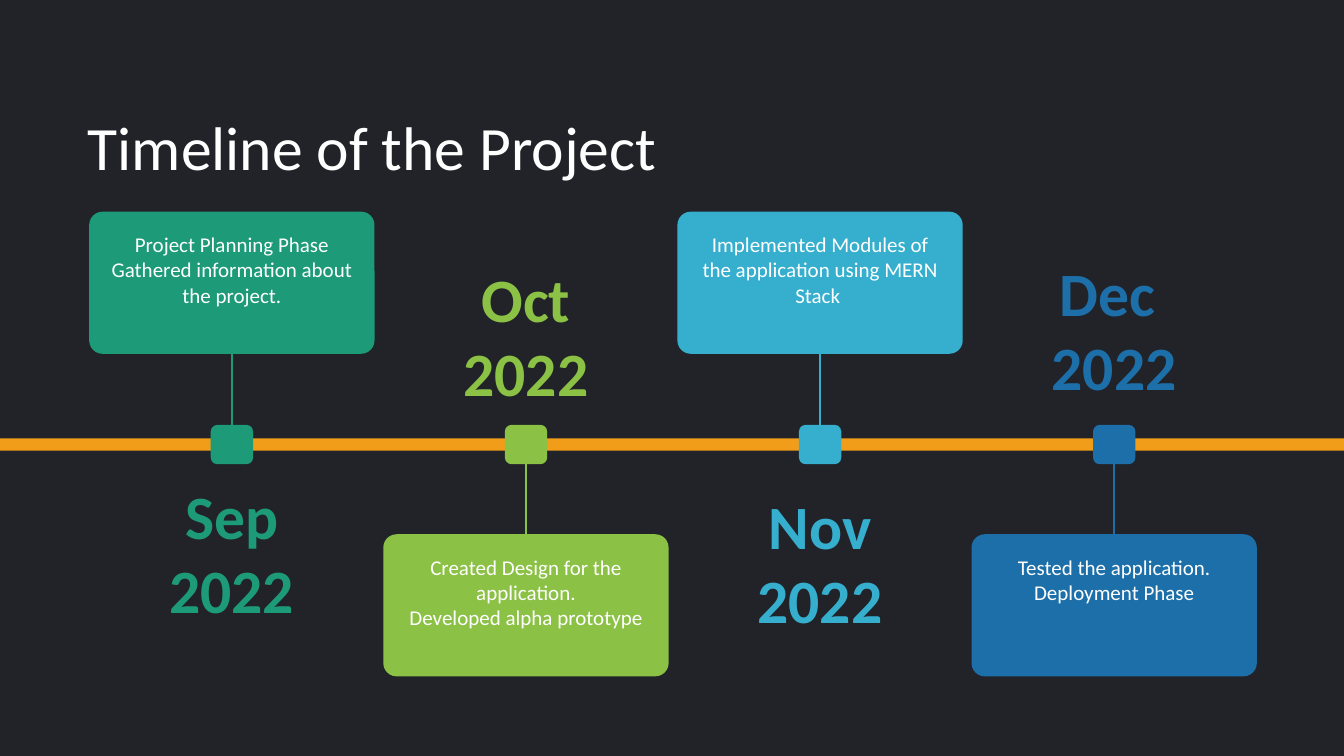
from collections import namedtuple

from lxml import etree
from pptx import Presentation, util as u
from pptx.dml.color import RGBColor
from pptx.enum import shapes, text
from pptx.oxml import ns

# Colours
BACKGROUND = RGBColor(0x21, 0x23, 0x28)
WHITE = RGBColor(0xFF, 0xFF, 0xFF)
ORANGE = RGBColor(0xF1, 0x9D, 0x19)
GREEN = RGBColor(0x1D, 0x9A, 0x78)
LIME = RGBColor(0x8B, 0xC1, 0x45)
CYAN = RGBColor(0x36, 0xAF, 0xCE)
BLUE = RGBColor(0x1D, 0x6F, 0xA9)
FONT = "Calibri"

# Grid, in inches
SLIDE_W, SLIDE_H = 13.33, 7.5
FIRST_CENTRE = 2.3
COLUMN = 2.917
AXIS_Y = 4.41
BAR_H = 0.12
MARKER_W, MARKER_H = 0.42, 0.39
CARD_W, CARD_H = 2.83, 1.41
CARD_TOP_ABOVE, CARD_TOP_BELOW = 2.1, 5.3
NOTE_W, NOTE_DROP = 2.66, 0.15
NOTE_LINE, NOTE_MARGINS = 0.25, 0.11
DATE_W = 2.18

Phase = namedtuple("Phase", "colour date date_top date_h note note_lines")
PHASES = [
    Phase(GREEN, "Sep 2022", 4.77, 1.41,
          "Project Planning Phase\nGathered information about the project.", 4),
    Phase(LIME, "Oct\n2022", 2.68, 1.29,
          "Created Design for the application.\nDeveloped alpha prototype", 3),
    Phase(CYAN, "Nov\n2022", 4.95, 1.24,
          "Implemented Modules of the application using MERN Stack ", 3),
    Phase(BLUE, "Dec \n2022", 2.68, 1.16,
          "Tested the application.\nDeployment Phase", 2),
]


def box(left, top, width, height):
    return [u.Inches(value) for value in (left, top, width, height)]


def centred(centre, top, width, height):
    return box(centre - width / 2, top, width, height)


def format_text(frame, size, colour, align, bold=False):
    for paragraph in frame.paragraphs:
        paragraph.alignment = align
        for run in paragraph.runs:
            run.font.name = FONT
            run.font.size = u.Pt(size)
            run.font.bold = bold
            run.font.color.rgb = colour


def add_title(slide, wording):
    title = slide.shapes.title
    title.left, title.top, title.width, title.height = box(0.77, 0.77, 11.5, 1.45)
    frame = title.text_frame
    frame.text = wording
    frame.vertical_anchor = text.MSO_ANCHOR.MIDDLE
    frame.paragraphs[0].line_spacing = 0.9
    format_text(frame, 44, WHITE, text.PP_ALIGN.LEFT)


def add_block(slide, kind, place, colour):
    block = slide.shapes.add_shape(kind, *place)
    block.shadow.inherit = False
    block.fill.solid()
    block.fill.fore_color.rgb = colour
    block.line.fill.background()
    return block


def add_label(slide, place, wording, size, colour, bold=False):
    frame = slide.shapes.add_textbox(*place).text_frame
    frame.word_wrap = True
    frame.text = wording
    format_text(frame, size, colour, text.PP_ALIGN.CENTER, bold)
    return frame


def add_stem(slide, upper, lower, colour):
    stem = slide.shapes.add_connector(shapes.MSO_CONNECTOR.STRAIGHT, 0, 0, 0, 0)
    stem.begin_connect(upper, 2)
    stem.end_connect(lower, 0)
    stem.line.color.rgb = colour
    stem.line.width = u.Pt(1.5)
    etree.SubElement(stem._element.spPr, ns.qn("a:effectLst"))


def add_phase(slide, index, phase):
    centre = FIRST_CENTRE + index * COLUMN
    above = index % 2 == 0
    card_top = CARD_TOP_ABOVE if above else CARD_TOP_BELOW
    rounded = shapes.MSO_SHAPE.ROUNDED_RECTANGLE

    # Card and marker, joined by a stem
    card = add_block(slide, rounded, centred(centre, card_top, CARD_W, CARD_H),
                     phase.colour)
    card.adjustments[0] = 0.093
    marker = add_block(
        slide, rounded,
        centred(centre, AXIS_Y - MARKER_H / 2, MARKER_W, MARKER_H), phase.colour)
    upper, lower = (card, marker) if above else (marker, card)
    add_stem(slide, upper, lower, phase.colour)

    # Description on the card
    note_h = NOTE_MARGINS + NOTE_LINE * phase.note_lines
    note = add_label(slide, centred(centre, card_top + NOTE_DROP, NOTE_W, note_h),
                     phase.note, 15, WHITE)
    note.auto_size = text.MSO_AUTO_SIZE.SHAPE_TO_FIT_TEXT

    # Date on the other side of the axis
    date = add_label(slide, centred(centre, phase.date_top, DATE_W, phase.date_h),
                     phase.date, 44, phase.colour, bold=True)
    date.vertical_anchor = text.MSO_ANCHOR.MIDDLE


def main():
    deck = Presentation()
    deck.slide_width, deck.slide_height = u.Inches(SLIDE_W), u.Inches(SLIDE_H)
    slide = deck.slides.add_slide(deck.slide_layouts.get_by_name("Title Only"))
    slide.background.fill.solid()
    slide.background.fill.fore_color.rgb = BACKGROUND

    add_title(slide, "Timeline of the Project")
    add_block(slide, shapes.MSO_SHAPE.RECTANGLE,
              box(0, AXIS_Y - BAR_H / 2, SLIDE_W, BAR_H), ORANGE)
    for index, phase in enumerate(PHASES):
        add_phase(slide, index, phase)

    deck.save("out.pptx")


if __name__ == "__main__":
    main()
